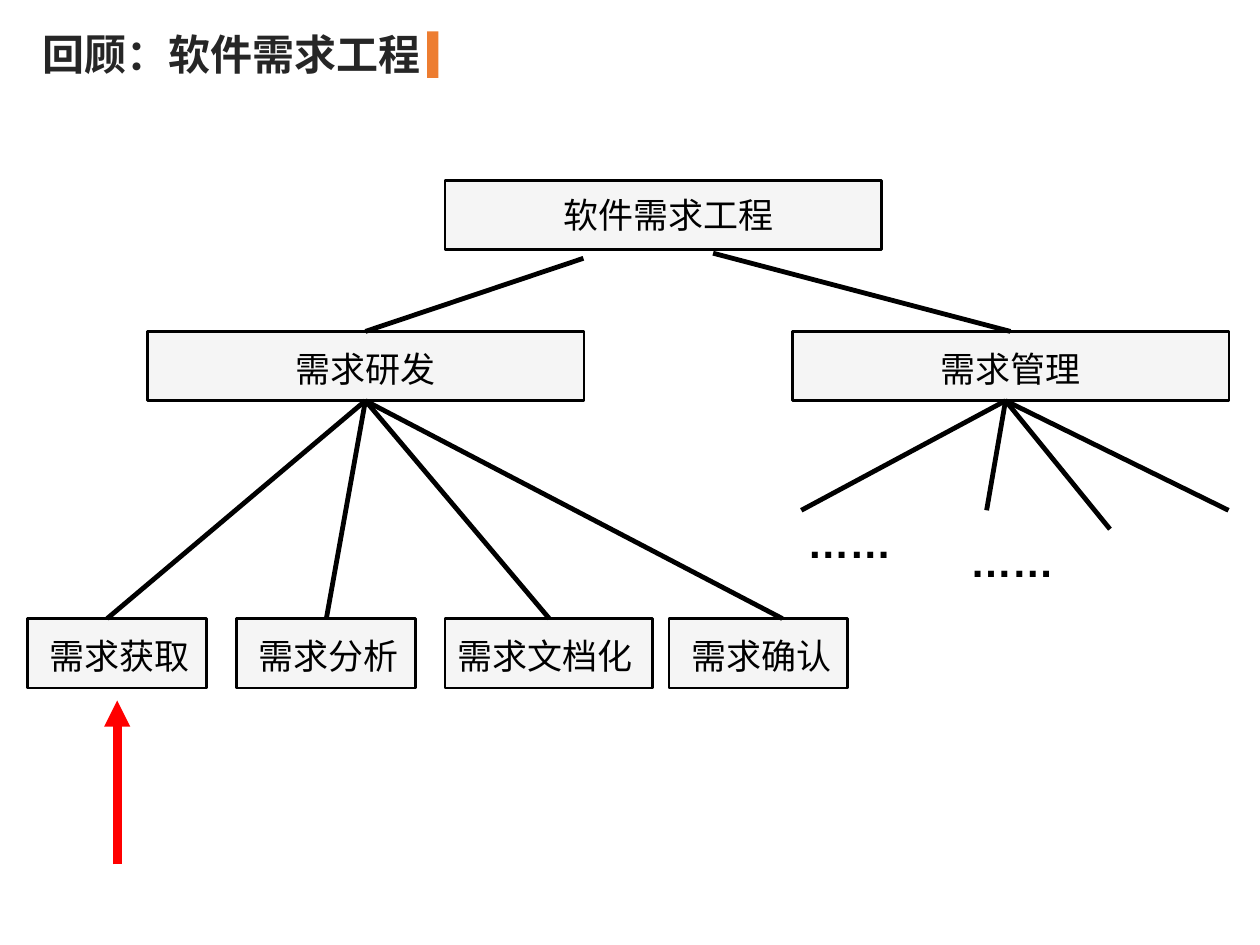
from dataclasses import dataclass

from lxml.etree import SubElement
from pptx import Presentation
from pptx.dml.color import RGBColor
from pptx.enum.shapes import MSO_CONNECTOR as Conn, MSO_SHAPE as Shape
from pptx.enum.text import MSO_AUTO_SIZE as AutoSize, PP_ALIGN as Align
from pptx.oxml.ns import qn
from pptx.util import Pt

COLORS = {"title": "262626", "accent": "ED7D31", "box": "F5F5F5",
          "ink": "000000", "arrow": "FF0000"}
CJK, LATIN = "Noto Sans CJK SC", "Arial"
BOX_H = 39.6
LABEL_H = 31.7


@dataclass
class Node:
    """A box of the tree; dx, dy and label_w place its label."""
    text: str
    x: float
    y: float
    w: float
    dx: float
    dy: float
    label_w: float
    align: Align = Align.LEFT


@dataclass
class Fan:
    """Lines that spread from one point to several ends."""
    start: tuple[float, float]
    ends: list[tuple[float, float]]


def rgb(name: str) -> RGBColor:
    return RGBColor.from_string(COLORS[name])


def add_text(slide, text: str, x: float, y: float, w: float, h: float, *,
             size: float = 20, font: str = CJK, color: str = "ink",
             bold: bool = False, align: Align = Align.LEFT, wrap: bool = True):
    tf = slide.shapes.add_textbox(Pt(x), Pt(y), Pt(w), Pt(h)).text_frame
    tf.word_wrap = wrap
    tf.auto_size = AutoSize.SHAPE_TO_FIT_TEXT
    p = tf.paragraphs[0]
    p.alignment = align
    r = p.add_run()
    r.text = text
    r.font.size, r.font.bold, r.font.name = Pt(size), bold, font
    r.font.color.rgb = rgb(color)
    # East Asian characters take their own font setting
    SubElement(r.font._element, qn("a:ea"), typeface=font)


def add_rect(slide, x: float, y: float, w: float, h: float, fill: str,
             line: str | None = None):
    sp = slide.shapes.add_shape(Shape.RECTANGLE, Pt(x), Pt(y), Pt(w), Pt(h))
    sp.shadow.inherit = False
    sp.fill.solid()
    sp.fill.fore_color.rgb = rgb(fill)
    if line:
        sp.line.color.rgb = rgb(line)
        sp.line.width = Pt(1.5)
    else:
        sp.line.fill.background()


def add_line(slide, start: tuple[float, float], end: tuple[float, float],
             color: str = "ink", width: float = 2.75, arrow: bool = False):
    cxn = slide.shapes.add_connector(Conn.STRAIGHT, *map(Pt, start + end))
    cxn.line.color.rgb = rgb(color)
    cxn.line.width = Pt(width)
    if arrow:
        SubElement(cxn.line._get_or_add_ln(), qn("a:tailEnd"), type="triangle")
    SubElement(cxn._element.spPr, qn("a:effectLst"))


def add_node(slide, node: Node):
    add_rect(slide, node.x, node.y, node.w, BOX_H, "box", "ink")
    add_text(slide, node.text, node.x + node.dx, node.y + node.dy,
             node.label_w, LABEL_H, align=node.align)


ROOT_Y, BRANCH_Y, LEAF_Y = 103, 189.4, 353.5
BRANCH_BOTTOM = BRANCH_Y + BOX_H

NODES = [
    Node("软件需求工程", 254.2, ROOT_Y, 249.5, 8.6, 4.3, 238.3, Align.CENTER),
    *(Node(text, x, BRANCH_Y, 249.5, 5.4, 5.8, 238.3, Align.CENTER)
      for text, x in [("需求研发", 84.2), ("需求管理", 452.9)]),
    *(Node(text, x, LEAF_Y, 102.2, 5.6, 5.8, 96.5)
      for text, x in [("需求获取", 15.8), ("需求分析", 135.2), ("需求确认", 382.2)]),
    Node("需求文档化", 254.2, LEAF_Y, 118.8, 0, 5.8, 118.8),
]

FANS = [
    Fan((333.4, 147.6), [(208.8, BRANCH_Y)]),
    Fan((407.5, 144.7), [(577.4, BRANCH_Y)]),
    Fan((208.8, BRANCH_BOTTOM), [(x, LEAF_Y) for x in (61.2, 186.5, 313.9, 447.1)]),
    Fan((574.6, BRANCH_BOTTOM),
        [(457.9, 291.6), (563.8, 291.6), (634.3, 302.4), (702, 291.6)]),
]


def main():
    prs = Presentation()
    prs.slide_width, prs.slide_height = Pt(720), Pt(540)
    slide = prs.slides.add_slide(prs.slide_layouts[6])

    # Title and accent bar
    add_text(slide, "回顾：软件需求工程", 17.3, 13, 232.6, 36,
             size=24, color="title", bold=True, wrap=False)
    add_rect(slide, 244.1, 18, 6.5, 26.6, "accent")

    # Tree boxes and branches
    for node in NODES:
        add_node(slide, node)
    for fan in FANS:
        for end in fan.ends:
            add_line(slide, fan.start, end)

    # Branches left open under management
    for x, y, w in [(454.3, 291.6, 71.3), (547.2, 302.4, 114.5)]:
        add_text(slide, "……", x, y, w, 36.7, size=24, font=LATIN, bold=True)

    # Arrow to the current topic
    add_line(slide, (67, 493.9), (67, 400.3), "arrow", 5, arrow=True)

    prs.save("out.pptx")


if __name__ == "__main__":
    main()
